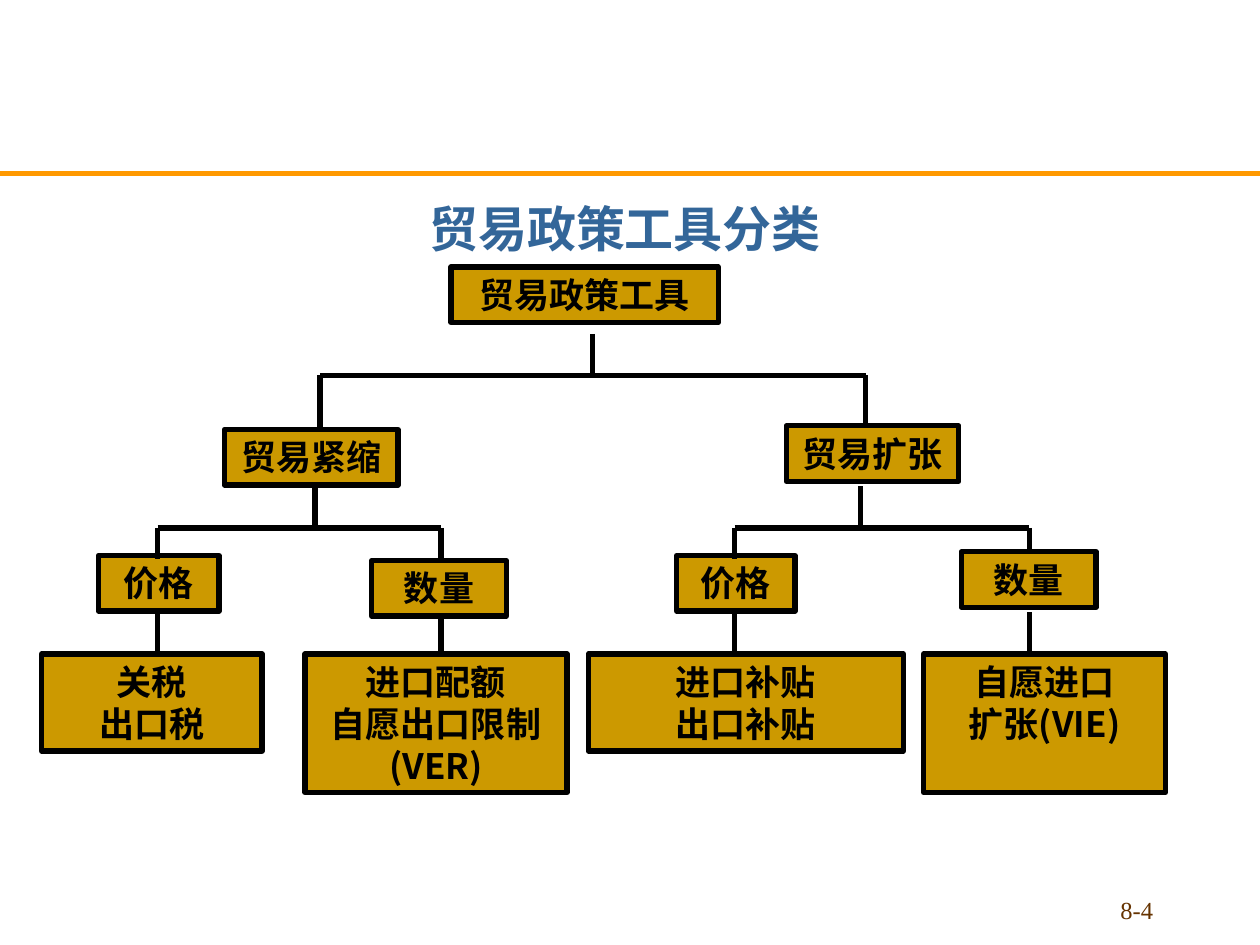
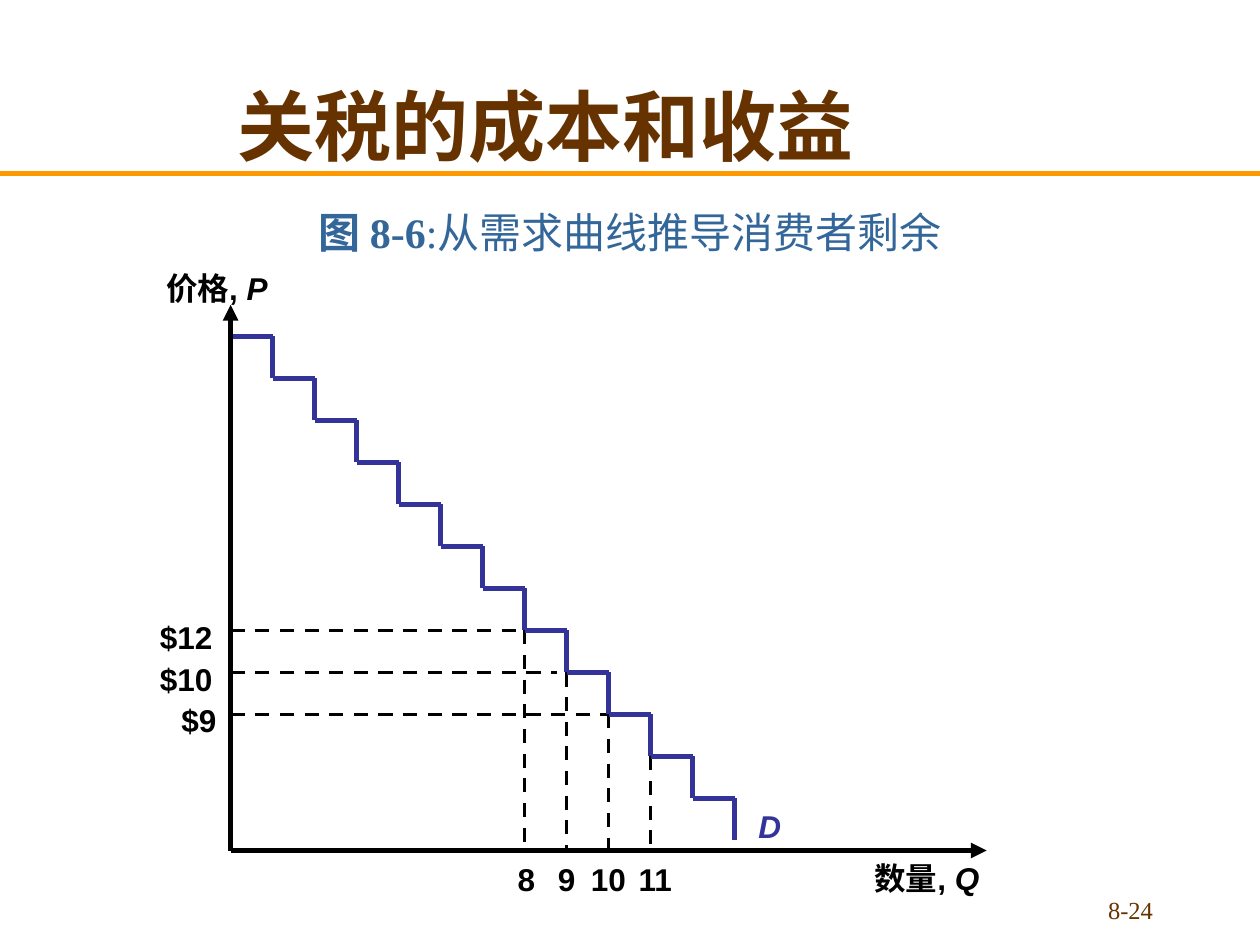
from lxml import etree
from pptx import Presentation
from pptx.dml.color import RGBColor
from pptx.enum.dml import MSO_LINE
from pptx.enum.shapes import MSO_CONNECTOR, MSO_SHAPE
from pptx.enum.text import MSO_ANCHOR, MSO_AUTO_SIZE, PP_ALIGN
from pptx.oxml.ns import qn
from pptx.util import Inches, Pt

BLACK = RGBColor(0x00, 0x00, 0x00)
ORANGE = RGBColor(0xFF, 0x99, 0x00)
GOLD = RGBColor(0xCC, 0x99, 0x00)
BROWN = RGBColor(0x66, 0x33, 0x00)
BLUE = RGBColor(0x33, 0x66, 0x99)
INDIGO = RGBColor(0x33, 0x33, 0x99)

SANS, SERIF, CJK = "Arial", "Times New Roman", "Noto Sans CJK SC"
LEFT, CENTER, RIGHT = PP_ALIGN.LEFT, PP_ALIGN.CENTER, PP_ALIGN.RIGHT
TOP, MIDDLE, BOTTOM = MSO_ANCHOR.TOP, MSO_ANCHOR.MIDDLE, MSO_ANCHOR.BOTTOM
NO_FIT = MSO_AUTO_SIZE.NONE
STRAIGHT, RECTANGLE, DASH = MSO_CONNECTOR.STRAIGHT, MSO_SHAPE.RECTANGLE, MSO_LINE.DASH
TITLE_ONLY = 5


def write_text(frame, *paragraphs, size, color, font=CJK, bold=True, align=CENTER,
               anchor=TOP, wrap=True):
    """Each paragraph is a string or a list of (text, bold, italic) runs."""
    frame.word_wrap = wrap
    frame.auto_size = NO_FIT
    frame.vertical_anchor = anchor
    frame.margin_left = frame.margin_right = Inches(0.1)
    frame.margin_top = frame.margin_bottom = Inches(0.05)
    for index, content in enumerate(paragraphs):
        paragraph = frame.add_paragraph() if index else frame.paragraphs[0]
        paragraph.alignment = align
        paragraph.line_spacing = Pt(round(size * 1.2))
        runs = [(content, bold, False)] if isinstance(content, str) else content
        for words, run_bold, italic in runs:
            run = paragraph.add_run()
            run.text = words
            run.font.name = font
            run.font.size = Pt(size)
            run.font.bold, run.font.italic = run_bold, italic
            run.font.color.rgb = color
            east_asian = etree.SubElement(run.font._element, qn("a:ea"))
            east_asian.set("typeface", CJK)


class Deck:
    def __init__(self):
        self.presentation = Presentation()
        self.presentation.slide_width = Inches(10)
        self.presentation.slide_height = Inches(7.5)
        self.slide = None

    def new_slide(self, page):
        layout = self.presentation.slide_layouts[TITLE_ONLY]
        self.slide = self.presentation.slides.add_slide(layout)
        self.line((0, 1.38), (10, 1.38), color=ORANGE)
        self.label(page, 7.17, 7.05, 2.08, 0.35, size=14, color=BROWN, font=SERIF,
                   bold=False, align=RIGHT)

    def title(self, text, left, top, width, height, **style):
        title = self.slide.shapes.title
        title.left, title.top = Inches(left), Inches(top)
        title.width, title.height = Inches(width), Inches(height)
        write_text(title.text_frame, text, anchor=MIDDLE, **style)

    def label(self, content, left, top, width, height, **style):
        box = self.slide.shapes.add_textbox(
            Inches(left), Inches(top), Inches(width), Inches(height))
        write_text(box.text_frame, content, **style)

    def axis_label(self, content, left, top, width, color=BLACK):
        self.label(content, left, top, width, 0.4, size=18, color=color, font=SANS,
                   align=LEFT, wrap=False)

    def node(self, left, top, width, *lines, height=0.44):
        box = self.slide.shapes.add_shape(
            RECTANGLE, Inches(left), Inches(top), Inches(width), Inches(height))
        box.shadow.inherit = False
        box.fill.solid()
        box.fill.fore_color.rgb = GOLD
        box.line.color.rgb = BLACK
        box.line.width = Pt(3)
        write_text(box.text_frame, *lines, size=20, color=BLACK)

    def line(self, start, end, color=BLACK, weight=3, dashed=False, arrow=False):
        connector = self.slide.shapes.add_connector(
            STRAIGHT, *(Inches(value) for value in (*start, *end)))
        connector.line.color.rgb = color
        connector.line.width = Pt(weight)
        if dashed:
            connector.line.dash_style = DASH
        if arrow:
            tip = etree.SubElement(connector.line._get_or_add_ln(), qn("a:tailEnd"))
            tip.set("type", "triangle")
        etree.SubElement(connector._element.spPr, qn("a:effectLst"))

    def branch(self, stem_x, stem_top, bar_y, *drops):
        """A stem, a crossbar and one drop (x, bottom) per child."""
        self.line((stem_x, stem_top), (stem_x, bar_y))
        self.line((drops[0][0], bar_y), (drops[-1][0], bar_y))
        for x, bottom in drops:
            self.line((x, bar_y), (x, bottom))


def build_policy_tree(deck):
    deck.new_slide("8-4")
    deck.title("贸易政策工具分类", 0, 1.52, 9.92, 0.58, size=28, color=BLUE)

    # Root and the two directions of policy
    deck.node(3.58, 2.12, 2.12, "贸易政策工具")
    deck.branch(4.7, 2.65, 2.98, (2.54, 3.48), (6.87, 3.4))
    deck.node(1.78, 3.41, 1.38, "贸易紧缩")
    deck.node(6.24, 3.38, 1.37, "贸易扩张")

    # Tools: stem x, stem top, then box left, width, height and lines
    tools = [
        (1.25, 4.84, 0.33, 1.75, 0.77, ["关税", "出口税"]),
        (3.5, 4.84, 2.42, 2.08, 1.1, ["进口配额", "自愿出口限制 (VER)"]),
        (5.83, 4.84, 4.67, 2.5, 0.77, ["进口补贴", "出口补贴"]),
        (8.17, 4.86, 7.33, 1.92, 1.1, ["自愿进口", "扩张(VIE)"]),
    ]
    for stem_x, stem_top, left, width, height, lines in tools:
        deck.line((stem_x, stem_top), (stem_x, stem_top + 0.33))
        deck.node(left, 5.19, width, *lines, height=height)

    # Price and quantity under each direction
    deck.node(0.78, 4.41, 0.96, "价格")
    deck.node(2.95, 4.45, 1.07, "数量")
    deck.node(5.37, 4.41, 0.94, "价格")
    deck.branch(2.5, 3.86, 4.19, (1.25, 4.44), (3.5, 4.44))
    deck.branch(6.83, 3.86, 4.19, (5.83, 4.44), (8.17, 4.44))
    deck.node(7.63, 4.38, 1.07, "数量")


def build_demand_curve(deck):
    deck.new_slide("8-24")
    deck.title("关税的成本和收益", 0.08, 0.36, 8.5, 1.25, size=44, color=BROWN, font=SERIF)
    deck.label([("图 8-6", True, False), (":从需求曲线推导消费者剩余", False, False)],
               0, 1.42, 10, 0.67, size=24, color=BLUE, font=SERIF, anchor=BOTTOM)

    origin_x, origin_y = 1.83, 6.75
    curve_top, step, step_count = 2.67, 1 / 3, 12

    def corner(index):
        return origin_x + index * step, curve_top + (index - 1) * step + step

    # Dashed guides: the lower inner corners of steps 7 to 10
    for index in range(7, 11):
        x, y = corner(index)
        deck.line((x, y), (x, origin_y), weight=2, dashed=True)
    for index, end_x in ((7, 4.17), (8, 4.42), (9, 4.83)):
        y = corner(index)[1]
        deck.line((origin_x, y), (end_x, y), weight=2, dashed=True)

    # Tick labels
    for quantity, left, width in (("8", 4.01, 0.34), ("9", 4.33, 0.34),
                                  ("10", 4.59, 0.48), ("11", 4.97, 0.48)):
        deck.axis_label(quantity, left, 6.77, width)
    for price, left, top, width in (("$12", 1.17, 4.85, 0.61), ("$10", 1.17, 5.18, 0.61),
                                    ("$9", 1.34, 5.51, 0.48)):
        deck.axis_label(price, left, top, width)

    # Demand staircase
    for index in range(step_count):
        x, y = corner(index)
        deck.line((x, y), (x + step, y), color=INDIGO)
        deck.line((x + step, y), (x + step, y + step), color=INDIGO)
    deck.axis_label([("D", True, True)], 5.92, 6.35, 0.38, color=INDIGO)

    # Axes
    for tip in ((origin_x, 2.42), (7.83, origin_y)):
        deck.line((origin_x, origin_y), tip, arrow=True)
    deck.axis_label([("价格, ", True, False), ("P", True, True)], 1.22, 2.08, 1.06)
    deck.axis_label([("数量, ", True, False), ("Q", True, True)], 6.84, 6.76, 1.09)


def main():
    deck = Deck()
    build_policy_tree(deck)
    build_demand_curve(deck)
    deck.presentation.save("out.pptx")


if __name__ == "__main__":
    main()
